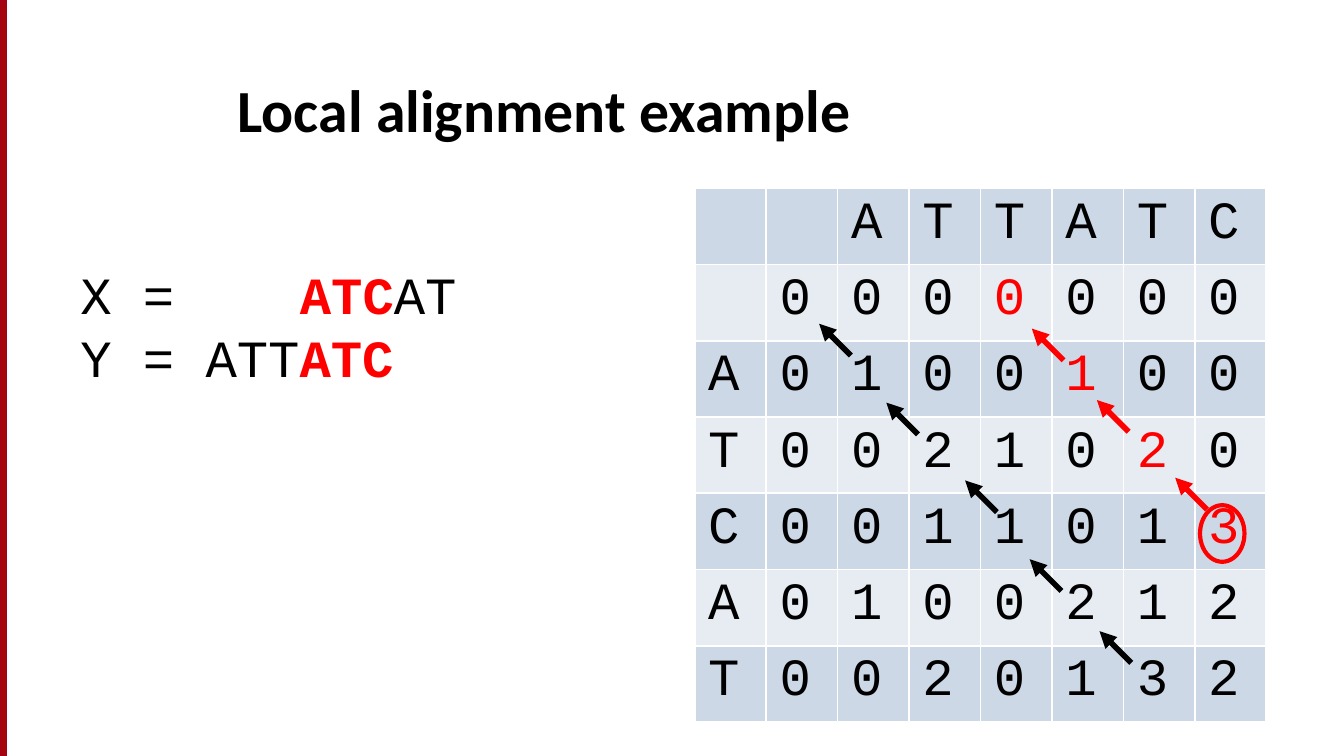
from dataclasses import dataclass

from lxml.etree import SubElement
from pptx import Presentation
from pptx.dml.color import RGBColor as RGB
from pptx.enum.shapes import MSO_CONNECTOR as CONNECTOR, MSO_SHAPE as SHAPE
from pptx.enum.text import MSO_ANCHOR as ANCHOR
from pptx.oxml.ns import qn
from pptx.util import Cm, Pt


@dataclass(frozen=True)
class Theme:
    """Colours, fonts and sizes of the slide."""
    black: RGB = RGB(0, 0, 0)
    red: RGB = RGB(255, 0, 0)
    white: RGB = RGB(255, 255, 255)
    bar: RGB = RGB(0xA4, 0x05, 0x08)
    bar_line: RGB = RGB(0xA4, 0x00, 0x1D)
    bands: tuple = (RGB(0xCC, 0xD8, 0xE6), RGB(0xE7, 0xEC, 0xF3))
    heading: str = "Calibri"
    mono: str = "Courier New"
    title_size: int = 32
    body_size: int = 28


THEME = Theme()
ACROSS = "ATTATC"
DOWN = "ATCAT"
SCORES = ["0000000", "0100100", "0021020", "0011013", "0100212", "0020132"]
BEST_PATH = {(1, 4), (2, 5), (3, 6), (4, 7)}
BEST_ARROWS = [(9.68, 6.07), (8.2, 4.6), (6.97, 3.25)]
OTHER_ARROWS = [(8.25, 8.97), (6.93, 7.61), (5.71, 6.12), (4.22, 4.65), (2.95, 3.16)]
ARROW_STEP = 0.6


def add_run(p, text, font=THEME.mono, size=THEME.body_size, color=THEME.black, bold=False):
    """Append a formatted run to a paragraph."""
    r = p.add_run()
    r.text = text
    r.font.name = font
    r.font.size = Pt(size)
    r.font.bold = bold
    r.font.color.rgb = color


def add_text_box(slide, box, anchor=ANCHOR.TOP):
    """Add a wrapping text box and return its text frame."""
    tf = slide.shapes.add_textbox(*map(Cm, box)).text_frame
    tf.word_wrap = True
    tf.vertical_anchor = anchor
    return tf


def add_side_bar(slide, box):
    """Draw the coloured bar along the edge."""
    sp = slide.shapes.add_shape(SHAPE.RECTANGLE, *map(Cm, box))
    sp.shadow.inherit = False
    sp.fill.solid()
    sp.fill.fore_color.rgb = THEME.bar
    sp.line.color.rgb = THEME.bar_line
    sp.line.width = Pt(0.75)


def add_title(slide, box, text):
    """Write the slide title at the bottom of its box."""
    tf = add_text_box(slide, box, ANCHOR.BOTTOM)
    add_run(tf.paragraphs[0], text, font=THEME.heading, size=THEME.title_size, bold=True)


def add_sequences(slide, box):
    """Write both sequences with their shared part lined up by a tab stop."""
    tf = add_text_box(slide, box)
    rows = [("X =\t", "ATC", "AT"), ("Y = ATT", "ATC", "")]
    for i, (before, match, after) in enumerate(rows):
        p = tf.add_paragraph() if i else tf.paragraphs[0]
        tabs = SubElement(p._p.get_or_add_pPr(), qn("a:tabLst"))
        SubElement(tabs, qn("a:tab"), pos=str(Cm(4.15)), algn="l")
        add_run(p, before)
        add_run(p, match, color=THEME.red, bold=True)
        if after:
            add_run(p, after)


def style_cell(cell, fill):
    """Give a cell white borders and a solid fill."""
    tc_pr = cell._tc.get_or_add_tcPr()
    for side in ("lnL", "lnR", "lnT", "lnB"):
        ln = SubElement(tc_pr, qn(f"a:{side}"), w=str(Pt(0.96)))
        solid = SubElement(ln, qn("a:solidFill"))
        SubElement(solid, qn("a:srgbClr"), val=str(THEME.white))
    cell.fill.solid()
    cell.fill.fore_color.rgb = fill


def add_arrow(slide, x, y, color):
    """Draw a traceback arrow up and left from a point."""
    ends = (x, y, x - ARROW_STEP, y - ARROW_STEP)
    cxn = slide.shapes.add_connector(CONNECTOR.STRAIGHT, *map(Cm, ends))
    cxn.line.color.rgb = color
    cxn.line.width = Pt(3)
    SubElement(cxn.line._get_or_add_ln(), qn("a:tailEnd"), type="triangle")
    SubElement(cxn._element.spPr, qn("a:effectLst"))


def add_score_matrix(slide, box):
    """Build the score table with its traceback arrows and best-score ring."""
    left, top, width, height = box
    grid = [[*"  ", *ACROSS]] + [[h, *s] for h, s in zip(" " + DOWN, SCORES)]
    table = slide.shapes.add_table(len(grid), len(grid[0]), *map(Cm, box)).table
    table.first_row = table.horz_banding = False
    for col in table.columns:
        col.width = Cm(width / len(grid[0]))
    for i, values in enumerate(grid):
        table.rows[i].height = Cm(height / len(grid))
        for j, value in enumerate(values):
            cell = table.cell(i, j)
            style_cell(cell, THEME.bands[i % 2])
            if value.strip():
                color = THEME.red if (i, j) in BEST_PATH else THEME.black
                add_run(cell.text_frame.paragraphs[0], value, color=color)
    for color, starts in ((THEME.red, BEST_ARROWS), (THEME.black, OTHER_ARROWS)):
        for x, y in starts:
            add_arrow(slide, left + x, top + y, color)
    ring = slide.shapes.add_shape(
        SHAPE.OVAL, Cm(left + 9.55), Cm(top + 5.99), Cm(0.84), Cm(1.07))
    ring.shadow.inherit = False
    ring.fill.background()
    ring.line.color.rgb = THEME.red
    ring.line.width = Pt(2.25)


def main():
    """Build and save the slide."""
    prs = Presentation()
    prs.slide_width, prs.slide_height = Cm(25.4), Cm(14.29)
    slide = prs.slides.add_slide(prs.slide_layouts[6])
    add_side_bar(slide, (0, 0, 0.12, 14.29))
    add_title(slide, (4.24, 0.79, 20.75, 2.06), "Local alignment example")
    add_score_matrix(slide, (13.13, 3.56, 10.8, 9.68))
    add_sequences(slide, (1.27, 4.83, 8.26, 3.81))
    prs.save("out.pptx")


if __name__ == "__main__":
    main()
